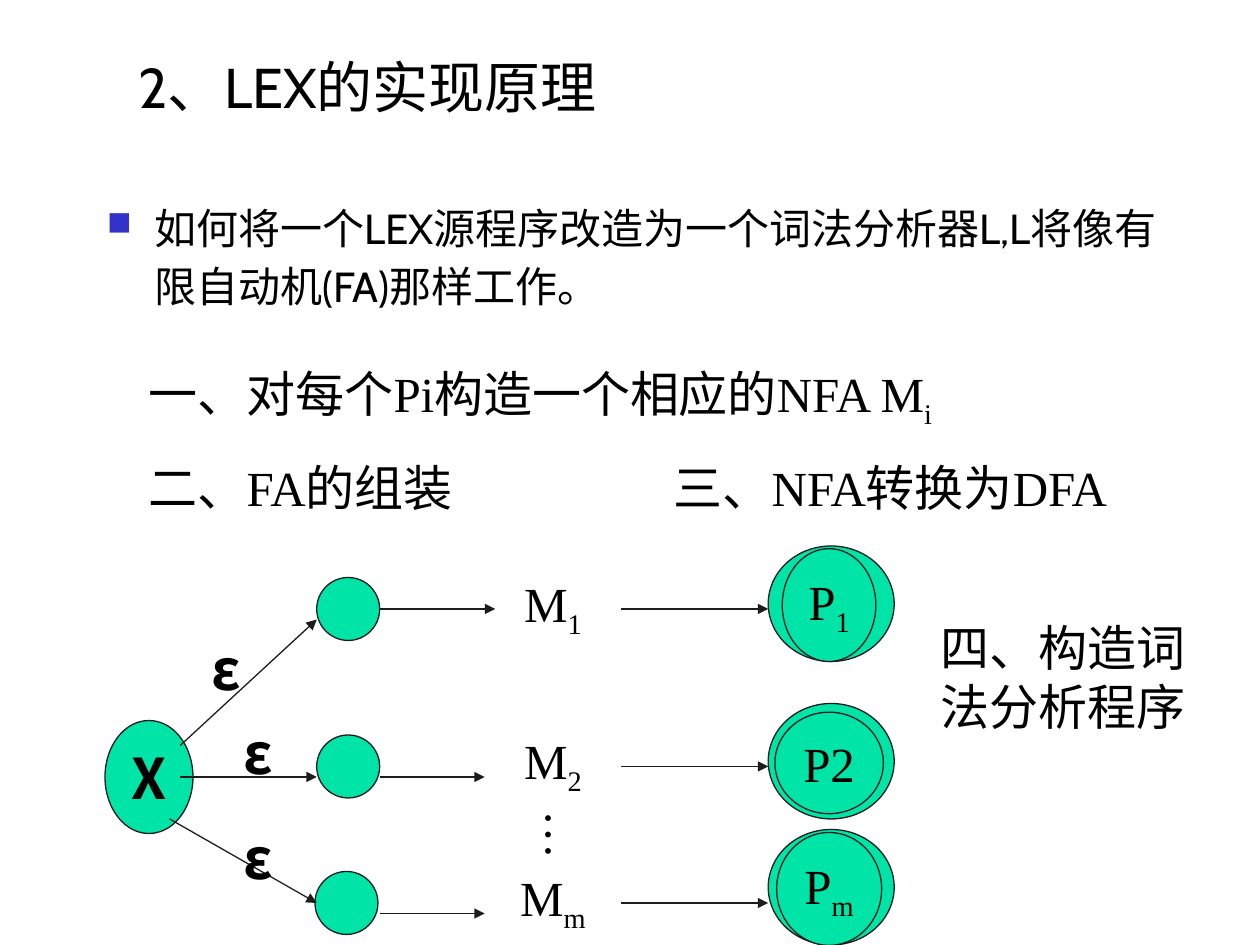
"""Build the slide on how LEX is implemented, with its automaton diagram."""
from dataclasses import dataclass

from lxml.etree import SubElement
from pptx import Presentation
from pptx.dml.color import RGBColor
from pptx.enum.shapes import MSO_CONNECTOR, MSO_SHAPE
from pptx.enum.text import MSO_ANCHOR, PP_ALIGN
from pptx.oxml.ns import qn
from pptx.shapes.autoshape import Shape
from pptx.shapes.connector import Connector
from pptx.slide import Slide
from pptx.util import Pt


@dataclass(frozen=True)
class Theme:
    """Colours, fonts and type sizes of the slide."""
    paper: RGBColor = RGBColor(0xFF, 0xFF, 0xFF)
    ink: RGBColor = RGBColor(0, 0, 0)
    state: RGBColor = RGBColor(0x00, 0xE4, 0xA8)
    line: RGBColor = RGBColor(0x1C, 0x1C, 0x1C)
    bullet: str = "3333CC"
    sans: str = "Cabin"
    serif: str = "Times New Roman"
    chinese: str = "Noto Sans CJK SC"
    title: float = 32
    body: float = 24
    step: float = 28
    symbol: float = 32
    stroke: float = 0.75


THEME = Theme()


@dataclass(frozen=True)
class Frame:
    """A rectangle in points."""
    left: float
    top: float
    width: float
    height: float

    def lengths(self) -> list[Pt]:
        """Return the four lengths for python-pptx."""
        return [Pt(n) for n in (self.left, self.top, self.width, self.height)]


@dataclass(frozen=True)
class Label:
    """Text with an optional subscript and its type."""
    text: str
    subscript: str = ""
    font: str = THEME.serif
    size: float = THEME.step
    bold: bool = False


@dataclass(frozen=True)
class Branch:
    """One row of the automaton, from start state to accepting state."""
    machine: Label
    machine_top: float
    start: Frame
    entry_y: float
    entry_end: float
    outer_top: float
    inner: Frame
    pattern: Label
    edge: tuple[float, float, float, float]
    epsilon: tuple[float, float]


BRANCHES = (
    Branch(Label("M", "1"), 324, Frame(181, 330, 36, 36), 348, 283, 312,
           Frame(447, 313.5, 53.5, 64.5), Label("P", "1"), (103, 426, 181, 354), (121, 359.5)),
    Branch(Label("M", "2"), 414, Frame(181, 420, 36, 36), 444, 277, 402,
           Frame(442.8, 407, 62, 58), Label("P2"), (103, 444, 181, 444), (139, 407.5)),
    Branch(Label("M", "m"), 492, Frame(180, 498, 36, 36), 522, 277, 474,
           Frame(443.8, 475.7, 60, 64.5), Label("P", "m"), (97, 468, 181, 516), (139, 467.5)),
)

STEPS = (
    (Frame(78, 258, 210, 41), Label("二、FA的组装")),
    (Frame(78, 204, 534, 45), Label("一、对每个Pi构造一个相应的NFA M", "i")),
    (Frame(378, 258, 288, 41), Label("三、NFA转换为DFA")),
    (Frame(530.3, 349.3, 174, 75), Label("四、构造词法分析程序")),
)


def write(box: Shape, label: Label, align: PP_ALIGN = PP_ALIGN.LEFT,
          anchor: MSO_ANCHOR = MSO_ANCHOR.TOP, wrap: bool = True) -> None:
    """Set and format the text of a shape."""
    box.text_frame.text = label.text
    box.text_frame.word_wrap = wrap
    box.text_frame.vertical_anchor = anchor
    para = box.text_frame.paragraphs[0]
    para.alignment = align
    if label.subscript:
        para.add_run().text = label.subscript
    for index, span in enumerate(para.runs):
        span.font.name = label.font
        span.font.size = Pt(label.size)
        span.font.bold = label.bold
        span.font.color.rgb = THEME.ink
        properties = span.font._element
        SubElement(properties, qn("a:ea"), typeface=THEME.chinese)
        if index:
            properties.set("baseline", "-25000")


def fill_white(box: Shape) -> None:
    """Give a box the paper colour."""
    box.fill.solid()
    box.fill.fore_color.rgb = THEME.paper


def add_box(page: Slide, frame: Frame, label: Label,
            align: PP_ALIGN = PP_ALIGN.LEFT) -> Shape:
    """Add a white text box."""
    box = page.shapes.add_textbox(*frame.lengths())
    fill_white(box)
    write(box, label, align)
    return box


def add_state(page: Slide, frame: Frame, label: Label | None = None) -> None:
    """Add an automaton state."""
    state = page.shapes.add_shape(MSO_SHAPE.OVAL, *frame.lengths())
    state.shadow.inherit = False
    state.fill.solid()
    state.fill.fore_color.rgb = THEME.state
    state.line.color.rgb = THEME.line
    state.line.width = Pt(THEME.stroke)
    if label:
        write(state, label, PP_ALIGN.CENTER, MSO_ANCHOR.MIDDLE, wrap=False)


def add_arrow(page: Slide, *ends: float) -> Connector:
    """Add an arrow between two points."""
    arrow = page.shapes.add_connector(MSO_CONNECTOR.STRAIGHT, *[Pt(n) for n in ends])
    arrow.line.color.rgb = THEME.line
    arrow.line.width = Pt(THEME.stroke)
    SubElement(arrow.line._get_or_add_ln(), qn("a:tailEnd"), type="triangle")
    SubElement(arrow._element.spPr, qn("a:effectLst"))
    return arrow


def add_symbol(page: Slide, frame: Frame, label: Label) -> None:
    """Add an edge label with narrow margins."""
    box = page.shapes.add_textbox(*frame.lengths())
    text = box.text_frame
    text.margin_left = text.margin_right = Pt(0)
    text.margin_top = text.margin_bottom = Pt(3)
    write(box, label)


def add_branch(page: Slide, branch: Branch) -> None:
    """Draw one row of the automaton."""
    machine_frame = Frame(277, branch.machine_top, 78, 48)
    middle = branch.machine_top + machine_frame.height / 2
    add_state(page, branch.start)
    machine = add_box(page, machine_frame, branch.machine, PP_ALIGN.CENTER)
    add_state(page, Frame(439, branch.outer_top, 72, 66))
    add_state(page, branch.inner, branch.pattern)
    add_arrow(page, *branch.edge)
    add_arrow(page, 217, branch.entry_y, branch.entry_end, branch.entry_y)
    add_arrow(page, 355, middle, 439, middle).begin_connect(machine, 3)
    add_symbol(page, Frame(*branch.epsilon, 24, 44),
               Label("ε", font=THEME.chinese, size=THEME.symbol, bold=True))


def add_title(page: Slide) -> None:
    """Place and format the title."""
    title = page.shapes.title
    title.left, title.top, title.width, title.height = Frame(72, 23.5, 430, 51).lengths()
    fill_white(title)
    write(title, Label("2、LEX的实现原理", font=THEME.sans, size=THEME.title),
          anchor=MSO_ANCHOR.MIDDLE)


def add_question(page: Slide) -> None:
    """Add the bulleted question."""
    box = add_box(page, Frame(54, 108, 630, 90),
                  Label("如何将一个LEX源程序改造为一个词法分析器L,L将像有限自动机(FA)那样工作。",
                        font=THEME.sans, size=THEME.body))
    para = box.text_frame.paragraphs[0]
    para.line_spacing = 1.15
    properties = para._p.get_or_add_pPr()
    properties.set("marL", str(Pt(27)))
    properties.set("indent", str(Pt(-27)))
    colour = SubElement(properties, qn("a:buClr"))
    SubElement(colour, qn("a:srgbClr"), val=THEME.bullet)
    SubElement(properties, qn("a:buSzPct"), val="80000")
    SubElement(properties, qn("a:buChar"), char="■")


def add_dots(page: Slide) -> None:
    """Add the vertical ellipsis between machines."""
    box = page.shapes.add_textbox(*Frame(295.5, 456, 47.5, 30).lengths())
    text = box.text_frame
    text.margin_left = text.margin_right = Pt(3)
    text.margin_top = text.margin_bottom = Pt(7)
    write(box, Label("…"), PP_ALIGN.CENTER)
    text._txBody.bodyPr.set("vert", "eaVert")


def main() -> None:
    """Build and save the deck."""
    deck = Presentation()
    deck.slide_width, deck.slide_height = Pt(720), Pt(540)
    page = deck.slides.add_slide(deck.slide_layouts[5])
    add_title(page)
    add_question(page)
    add_state(page, Frame(60, 411.7, 50.3, 64.6),
              Label("X", font=THEME.chinese, size=THEME.symbol, bold=True))
    for branch in BRANCHES:
        add_branch(page, branch)
    add_dots(page)
    for frame, label in STEPS:
        add_box(page, frame, label)
    deck.save("out.pptx")


if __name__ == "__main__":
    main()
